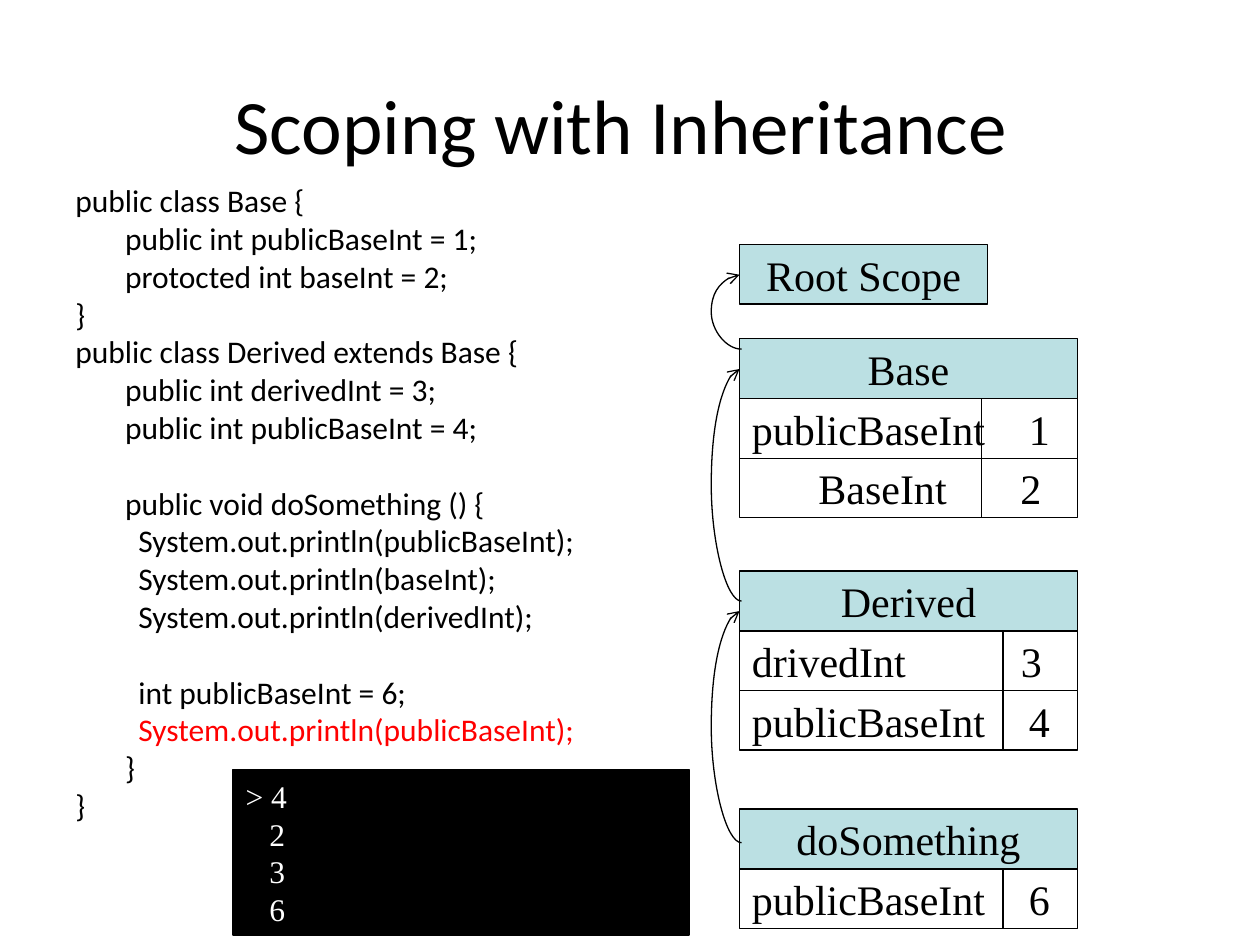
import pptx
import pptx.util
import pptx.dml.color
import pptx.enum.shapes
import pptx.enum.text
import pptx.oxml.ns
from lxml import etree
from pptx.util import Cm, Pt

BLACK = pptx.dml.color.RGBColor(0x00, 0x00, 0x00)
WHITE = pptx.dml.color.RGBColor(0xFF, 0xFF, 0xFF)
RED = pptx.dml.color.RGBColor(0xFF, 0x00, 0x00)
PALE_TEAL = pptx.dml.color.RGBColor(0xBB, 0xE0, 0xE3)
SANS, SERIF = "Calibri", "Times New Roman"
ALIGN = pptx.enum.text.PP_ALIGN
ANCHOR = pptx.enum.text.MSO_ANCHOR
CONNECTOR = pptx.enum.shapes.MSO_CONNECTOR

LINE_PITCH = Pt(21.6)
SCOPE_LEFT, SCOPE_WIDTH = 14.91, 6.81
HEADER_HEIGHT, ROW_HEIGHT = 1.21, 1.2
CURVE_REACH, CURVE_OFFSET = 0.61, 0.04

CODE = """public class Base {
       public int publicBaseInt = 1;
       protocted int baseInt = 2;
}
public class Derived extends Base {
       public int derivedInt = 3;
       public int publicBaseInt = 4;

       public void doSomething () {
\tSystem.out.println(publicBaseInt);
\tSystem.out.println(baseInt);
\tSystem.out.println(derivedInt);

\tint publicBaseInt = 6;
\tSystem.out.println(publicBaseInt);
       }
}"""

SCOPES = [
    (6.83, "Base", 4.88, [("publicBaseInt\t1", [5.58]), ("\tBaseInt\t2", [1.34, 5.41])]),
    (11.51, "Derived", 5.31, [("drivedInt\t3", [5.42]), ("publicBaseInt\t4", [5.58])]),
    (16.31, "doSomething", 5.31, [("publicBaseInt\t6", [5.58])]),
]
PARENT_LINKS = [(7.04, 5.54), (12.12, 7.44), (16.99, 12.32)]


def add_element(parent, tag, **attributes):
    """Append a DrawingML element to its parent."""
    return etree.SubElement(parent, pptx.oxml.ns.qn(tag), **attributes)


def style_font(paragraph, face, size, colour):
    """Set face, size and colour of a paragraph's runs."""
    for run in paragraph.runs:
        run.font.name, run.font.size = face, Pt(size)
        run.font.color.rgb = colour


def add_box(slide, left, top, width, height, fill):
    """Add a thinly outlined rectangle and return its text frame."""
    box = slide.shapes.add_shape(
        pptx.enum.shapes.MSO_SHAPE.RECTANGLE, Cm(left), Cm(top), Cm(width), Cm(height))
    box.shadow.inherit = False
    box.fill.solid()
    box.fill.fore_color.rgb = fill
    box.line.color.rgb = BLACK
    box.line.width = Pt(0.75)
    box.text_frame.vertical_anchor = ANCHOR.MIDDLE
    box.text_frame.word_wrap = True
    return box.text_frame


def add_line(slide, kind, start, end):
    """Add a thin black connector without a shadow."""
    line = slide.shapes.add_connector(kind, *map(Cm, start + end))
    line.line.color.rgb = BLACK
    line.line.width = Pt(0.75)
    add_element(line._element.spPr, "a:effectLst")
    return line


def add_title(slide, left, top, width, height):
    """Place the centred slide title."""
    frame = slide.shapes.add_textbox(Cm(left), Cm(top), Cm(width), Cm(height)).text_frame
    frame.word_wrap = True
    frame.vertical_anchor = ANCHOR.MIDDLE
    frame.text = "Scoping with Inheritance "
    frame.paragraphs[0].alignment = ALIGN.CENTER
    style_font(frame.paragraphs[0], SANS, 44, BLACK)


def add_code(slide, left, top, width, height):
    """Place the listing, with its sections set apart and the last print in red."""
    frame = slide.shapes.add_textbox(Cm(left), Cm(top), Cm(width), Cm(height)).text_frame
    frame.word_wrap = True
    sections = [section.split("\n") for section in CODE.split("\n\n")]
    frame.text = "\n".join(line for section in sections for line in section)
    for paragraph in frame.paragraphs:
        paragraph.line_spacing = LINE_PITCH
        style_font(paragraph, SANS, 18, BLACK)
    section_start = 0
    for section in sections[:-1]:
        section_start += len(section)
        frame.paragraphs[section_start].space_before = LINE_PITCH
    style_font(frame.paragraphs[-3], SANS, 18, RED)


def add_console(slide, left, top, width, height):
    """Place the black console with the printed values."""
    frame = add_box(slide, left, top, width, height, BLACK)
    frame.text = "> 4\n2\n3\n6"
    for number, paragraph in enumerate(frame.paragraphs):
        paragraph.alignment = ALIGN.LEFT
        paragraph.line_spacing = LINE_PITCH
        if number:
            paragraph._p.get_or_add_pPr().set("marL", str(Cm(0.48)))
        style_font(paragraph, SERIF, 18, WHITE)


def add_header(slide, left, top, width, height, scope):
    """Place a teal box with a scope name."""
    frame = add_box(slide, left, top, width, height, PALE_TEAL)
    frame.text = scope
    frame.paragraphs[0].alignment = ALIGN.CENTER
    style_font(frame.paragraphs[0], SERIF, 24, BLACK)


def add_variable(slide, left, top, width, height, entry, stops, divider):
    """Place one variable with its value behind a divider."""
    frame = add_box(slide, left, top, width, height, WHITE)
    frame.text = entry
    paragraph = frame.paragraphs[0]
    paragraph.alignment = ALIGN.LEFT
    tabs = add_element(paragraph._p.get_or_add_pPr(), "a:tabLst")
    for stop in stops:
        add_element(tabs, "a:tab", pos=str(Cm(stop)), algn="l")
    style_font(paragraph, SERIF, 24, BLACK)
    x = left + divider
    add_line(slide, CONNECTOR.STRAIGHT, (x, top), (x, top + height))


def add_scope(slide, left, top, width, scope, divider, variables):
    """Stack a scope's header and its variables."""
    add_header(slide, left, top, width, HEADER_HEIGHT, scope)
    for number, (entry, stops) in enumerate(variables):
        row_top = top + HEADER_HEIGHT + number * ROW_HEIGHT
        add_variable(slide, left, row_top, width, ROW_HEIGHT, entry, stops, divider)


def add_parent_link(slide, left, child_y, parent_y):
    """Curve an arrow from a scope to the scope around it."""
    link = add_line(slide, CONNECTOR.CURVE, (left + CURVE_OFFSET, child_y), (left, parent_y))
    bend = round(CURVE_REACH / CURVE_OFFSET * 100000)
    guides = link._element.spPr.find(pptx.oxml.ns.qn("a:prstGeom")).get_or_add_avLst()
    add_element(guides, "a:gd", name="adj1", fmla=f"val {bend}")
    add_element(link.line._get_or_add_ln(), "a:tailEnd", type="arrow")


def main():
    """Build and save the slide."""
    deck = pptx.Presentation()
    deck.slide_width, deck.slide_height = Cm(25.4), Cm(19.05)
    slide = deck.slides.add_slide(deck.slide_layouts[6])
    add_title(slide, 1.9, 0.91, 21.59, 3.18)
    add_code(slide, 1.27, 3.53, 12.62, 11.43)
    add_header(slide, SCOPE_LEFT, 4.93, 5, ROW_HEIGHT, "Root Scope")
    for top, scope, divider, variables in SCOPES:
        add_scope(slide, SCOPE_LEFT, top, SCOPE_WIDTH, scope, divider, variables)
    for child_y, parent_y in PARENT_LINKS:
        add_parent_link(slide, SCOPE_LEFT, child_y, parent_y)
    add_console(slide, 4.7, 15.52, 9.19, 3.33)
    deck.save("out.pptx")


if __name__ == "__main__":
    main()
